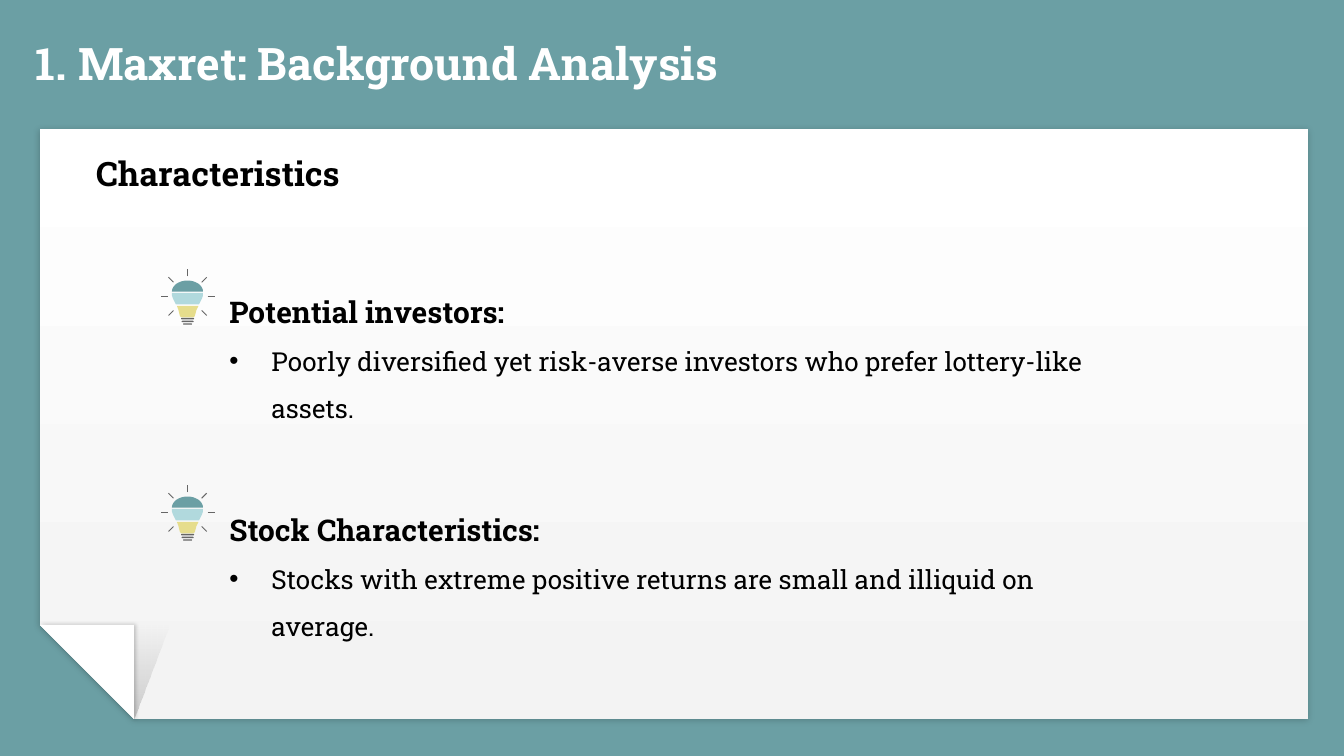
from math import cos, pi, radians, sin

from lxml.etree import SubElement
from pptx import Presentation
from pptx.dml.color import RGBColor
from pptx.enum.shapes import MSO_CONNECTOR, MSO_SHAPE
from pptx.enum.text import MSO_ANCHOR, MSO_AUTO_SIZE, PP_ALIGN
from pptx.oxml.ns import qn
from pptx.util import Emu, Pt

PX = 914400 / 134.4
TENTH = PX / 10
FONT = "Roboto Slab"
TEAL = RGBColor(0x6B, 0x9F, 0xA4)
PALE_BLUE = RGBColor(0xB1, 0xD9, 0xDD)
YELLOW = RGBColor(0xE6, 0xDD, 0x8C)
GRAY = RGBColor(0x66, 0x66, 0x66)
LIGHT_GRAY = RGBColor(0xF3, 0xF3, 0xF3)
WHITE = RGBColor(0xFF, 0xFF, 0xFF)
BLACK = RGBColor(0, 0, 0)

BULB_MIDDLE = [(120, 230), (430, 230), (430, 255), (420, 285), (390, 345),
               (160, 345), (130, 285), (120, 255)]
BULB_NECK = [(170, 360), (385, 360), (365, 400), (350, 460), (335, 475),
             (215, 475), (200, 460), (185, 400)]
BULB_BASE = [(480, 130), (508, 120), (534, 90)]
SECTIONS = [
    ((216, 269, 961, 110), (160, 270), "Potential investors:",
     "Poorly diversified yet risk-averse investors who prefer lottery-like assets."),
    ((216, 487, 917, 110), (160, 486), "Stock Characteristics:",
     "Stocks with extreme positive returns are small and illiquid on average."),
]


def scaled(lengths, unit=PX):
    """Turn lengths in the given unit into EMU."""
    return [Emu(round(length * unit)) for length in lengths]


def move(shape, box):
    """Place a shape at a box given in px."""
    shape.left, shape.top, shape.width, shape.height = scaled(box)


def paint(shape, color):
    """Give a shape a plain fill with no line or shadow."""
    shape.fill.solid()
    shape.fill.fore_color.rgb = color
    shape.line.fill.background()
    shape.shadow.inherit = False


def add_color(parent, color, percent):
    """Add a colour with an opacity to an XML element."""
    element = SubElement(parent, qn("a:srgbClr"), val=str(color))
    SubElement(element, qn("a:alpha"), val=str(percent * 1000))


def paint_gradient(shape, stops, angle):
    """Give a shape a linear gradient with no line or shadow."""
    gradient = SubElement(shape.element.spPr, qn("a:gradFill"), rotWithShape="1")
    stop_list = SubElement(gradient, qn("a:gsLst"))
    for position, color, percent in stops:
        stop = SubElement(stop_list, qn("a:gs"), pos=str(position * 1000))
        add_color(stop, color, percent)
    SubElement(gradient, qn("a:lin"), ang=str(angle * 60000), scaled="0")
    shape.line.fill.background()
    shape.shadow.inherit = False


def add_shadow(shape, blur, angle):
    """Give a painted shape a soft black shadow."""
    effects = shape.element.spPr.find(qn("a:effectLst"))
    shadow = SubElement(effects, qn("a:outerShdw"), blurRad=str(Pt(blur)),
                        dist=str(Pt(0.8)), dir=str(angle * 60000), rotWithShape="0")
    add_color(shadow, BLACK, 20)


def format_text(paragraph, size, color, bold):
    """Set the font of a paragraph."""
    paragraph.alignment = PP_ALIGN.LEFT
    font = paragraph.font
    font.name, font.size, font.bold = FONT, Pt(size), bold
    font.color.rgb = color


def add_sheet(page, box):
    """Draw the paper sheet with its folded lower left corner."""
    left, top, width, height = box
    fold = 94
    fold_top = top + height - fold
    paper, shade, corner = [
        page.shapes.add_shape(kind, *scaled(part)) for kind, part in [
            (MSO_SHAPE.SNIP_1_RECTANGLE, box),
            (MSO_SHAPE.RIGHT_TRIANGLE, (left + fold, fold_top, 35, fold)),
            (MSO_SHAPE.RIGHT_TRIANGLE, (left, fold_top, fold, fold))]]
    for part in (paper, shade, corner):
        part.rotation = 180
    paper.adjustments[0] = fold / height
    paint_gradient(paper, [(0, WHITE, 100), (100, LIGHT_GRAY, 100)], 270)
    add_shadow(paper, 3.4, 90)
    shade.element.spPr.xfrm.set("flipH", "1")
    paint_gradient(shade, [(0, BLACK, 17), (100, BLACK, 0)], 90)
    paint(corner, WHITE)
    add_shadow(corner, 2.2, 0)


def add_bulb(page, corner):
    """Draw a light bulb with rays from its top left corner."""
    left, top = (10 * length for length in corner)
    center_x, center_y = left + 276, top + 264
    shapes = page.shapes.add_group_shape().shapes
    dome = [(round(275 - 155 * cos(pi * step / 24)), round(216 - 110 * sin(pi * step / 24)))
            for step in range(25)]
    for outline, color in [(dome, TEAL), (BULB_MIDDLE, PALE_BLUE), (BULB_NECK, YELLOW)]:
        points = [(left + x, top + y) for x, y in outline]
        builder = shapes.build_freeform(*points[0], scale=TENTH)
        builder.add_line_segments(points[1:])
        paint(builder.convert_to_shape(), color)
    for angle in range(135, 406, 45):
        across, down = cos(radians(angle)), sin(radians(angle))
        ends = [center + radius * part for radius in (200, 270)
                for center, part in ((center_x, across), (center_y, down))]
        ray = shapes.add_connector(MSO_CONNECTOR.STRAIGHT, *scaled(ends, TENTH))
        ray.line.color.rgb = GRAY
        ray.line.width = Pt(0.5)
        SubElement(ray.element.spPr, qn("a:effectLst"))
    for bar_top, width in BULB_BASE:
        bar_box = (center_x - width / 2, top + bar_top, width, 14)
        bar = shapes.add_shape(MSO_SHAPE.ROUNDED_RECTANGLE, *scaled(bar_box, TENTH))
        bar.adjustments[0] = 0.5
        paint(bar, GRAY)


def fill_title(title, box):
    """Write the slide title."""
    move(title, box)
    frame = title.text_frame
    frame.margin_left = frame.margin_top = frame.margin_right = frame.margin_bottom = 0
    frame.vertical_anchor = MSO_ANCHOR.BOTTOM
    frame.text = "1. Maxret: Background Analysis"
    format_text(frame.paragraphs[0], 24, WHITE, True)


def add_heading(page, box):
    """Write the heading of the sheet."""
    frame = page.shapes.add_textbox(*scaled(box)).text_frame
    frame.word_wrap = False
    frame.text = "Characteristics"
    format_text(frame.paragraphs[0], 18, BLACK, True)


def fill_section(body, box, heading, point):
    """Write a bold heading and its bullet point."""
    move(body, box)
    frame = body.text_frame
    frame.word_wrap = True
    frame.auto_size = MSO_AUTO_SIZE.NONE
    frame.text = f"{heading}\n{point}"
    for paragraph, size, indent in zip(frame.paragraphs, (16, 14), (0, 42)):
        format_text(paragraph, size, BLACK, indent == 0)
        paragraph.line_spacing = 1.5
        paragraph.space_before = Pt(0)
        properties = paragraph._p.get_or_add_pPr()
        hang = scaled([indent])[0]
        properties.set("marL", str(hang))
        properties.set("indent", str(-hang))
        if indent:
            SubElement(properties, qn("a:buFont"), typeface="Arial")
            SubElement(properties, qn("a:buChar"), char="•")
        else:
            SubElement(properties, qn("a:buNone"))
        default_run = properties.find(qn("a:defRPr"))
        properties.append(default_run)


def main():
    """Build the deck and save it."""
    deck = Presentation()
    deck.slide_width, deck.slide_height = scaled((1344, 756))
    page = deck.slides.add_slide(deck.slide_layouts[3])
    page.background.fill.solid()
    page.background.fill.fore_color.rgb = TEAL
    title, *bodies = page.placeholders
    fill_title(title, (36, 12, 1235, 77))
    add_sheet(page, (40, 129, 1268, 590))
    add_heading(page, (83, 146, 285, 54))
    for body, (box, corner, heading, point) in zip(bodies, SECTIONS):
        add_bulb(page, corner)
        fill_section(body, box, heading, point)
        page.shapes._spTree.append(body.element)
    deck.save("out.pptx")


if __name__ == "__main__":
    main()
